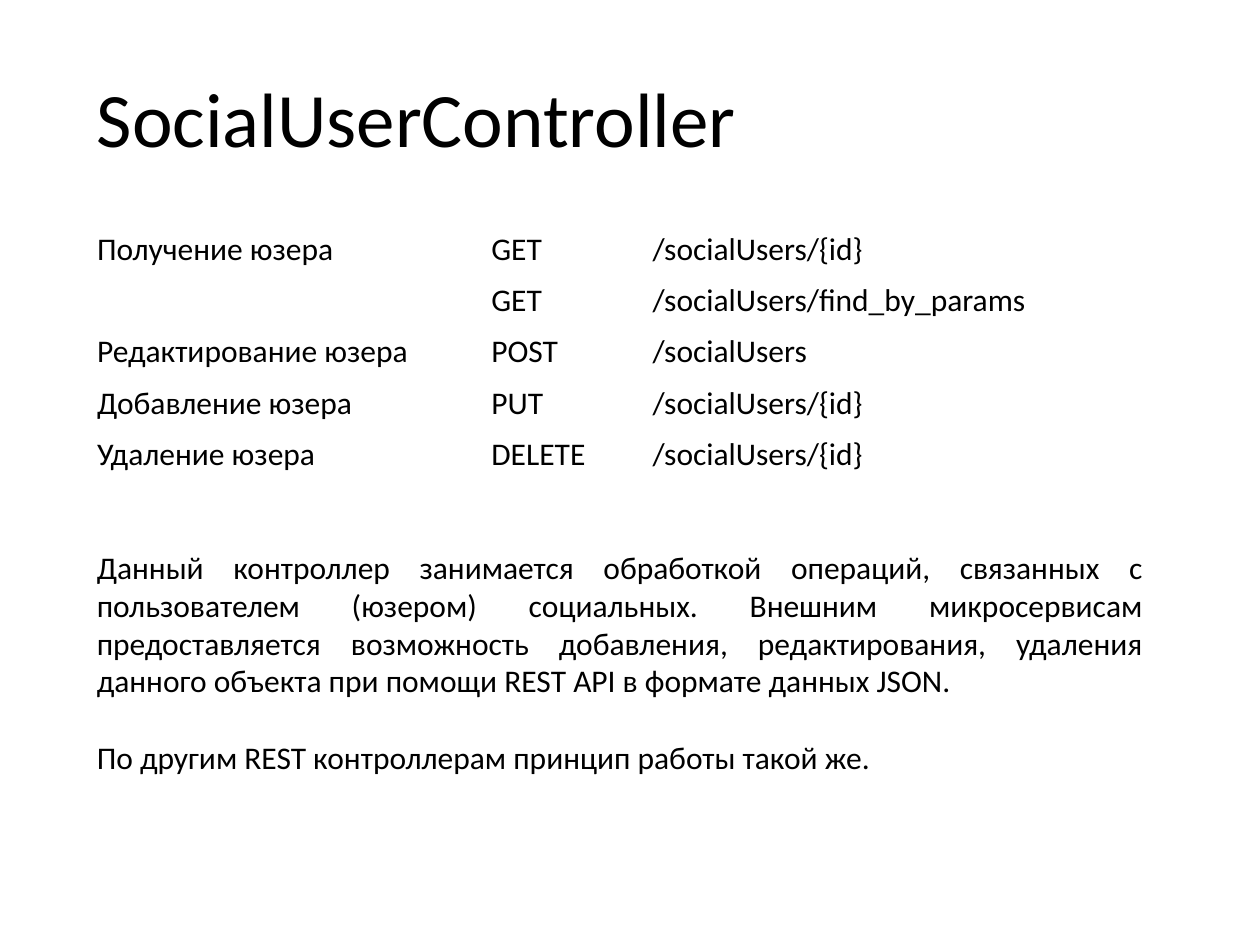
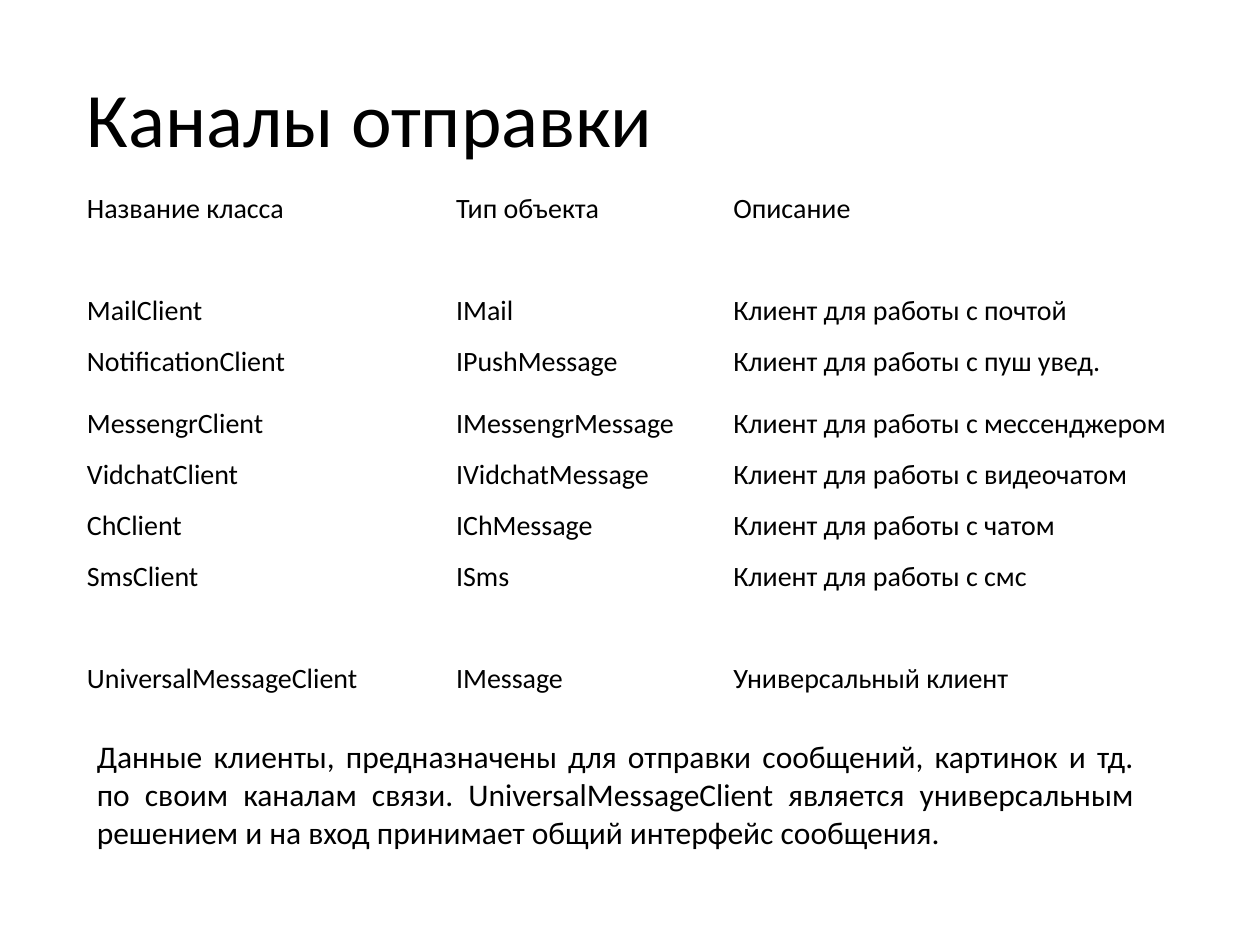
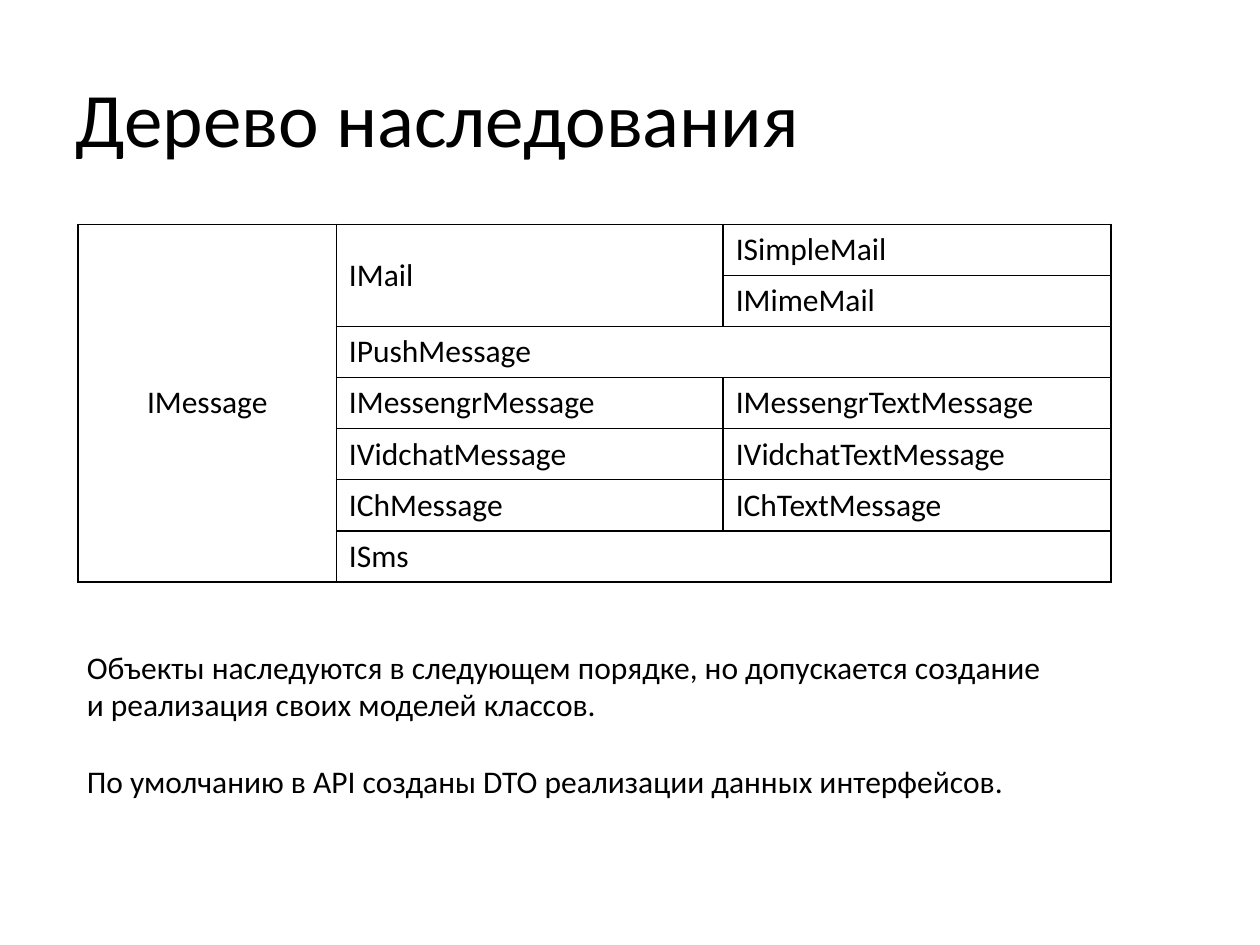
from lxml import etree
from pptx import Presentation
from pptx import util as u
from pptx.dml.color import RGBColor
from pptx.enum import text
from pptx.oxml.ns import qn

# Shared style
COLORS = {"ink": "000000"}
FONT = "Calibri"
TITLE, BODY, SMALL = 44, 18, 16
GAP = 22  # one body line, in points
MIDDLE = text.MSO_ANCHOR.MIDDLE
TOP = text.MSO_ANCHOR.TOP

# Endpoints of the user controller
ROUTES = [
    ["Получение юзера", "GET", "/socialUsers/{id}"],
    ["", "GET", "/socialUsers/find_by_params"],
    ["Редактирование юзера", "POST", "/socialUsers"],
    ["Добавление юзера", "PUT", "/socialUsers/{id}"],
    ["Удаление юзера", "DELETE", "/socialUsers/{id}"],
]

# Clients by channel
CLIENTS = [
    ["Название класса", "Тип объекта", "Описание"],
    ["", "", ""],
    ["MailClient", "IMail", "Клиент для работы с почтой"],
    ["NotificationClient", "IPushMessage", "Клиент для работы с пуш увед."],
    ["MessengrClient", "IMessengrMessage", "Клиент для работы с мессенджером"],
    ["VidchatClient", "IVidchatMessage", "Клиент для работы с видеочатом"],
    ["ChClient", "IChMessage", "Клиент для работы с чатом"],
    ["SmsClient", "ISms", "Клиент для работы с смс"],
    ["", "", ""],
    ["UniversalMessageClient", "IMessage", "Универсальный клиент"],
]

# Message interfaces, from parent to child
TREE = [
    ["IMessage", "IMail", "ISimpleMail"],
    ["", "", "IMimeMail"],
    ["", "IPushMessage", ""],
    ["", "IMessengrMessage", "IMessengrTextMessage"],
    ["", "IVidchatMessage", "IVidchatTextMessage"],
    ["", "IChMessage", "IChTextMessage"],
    ["", "ISms", ""],
]


def style(para, size, align=None):
    para.alignment = align
    for run in para.runs:
        run.font.name = FONT
        run.font.size = u.Pt(size)
        run.font.color.rgb = RGBColor.from_string(COLORS["ink"])


def add_text(slide, box, lines, size=BODY, align=None, anchor=TOP):
    frame = slide.shapes.add_textbox(*map(u.Inches, box)).text_frame
    frame.word_wrap = True
    frame.vertical_anchor = anchor
    frame.text = "\n".join(lines)
    for i, para in enumerate(frame.paragraphs):
        style(para, size, align)
        if i:
            para.space_before = u.Pt(GAP)


def add_page(deck, title, left):
    slide = deck.slides.add_slide(deck.slide_layouts[6])
    add_text(slide, (left, 0.3, 9.5 - left, 1.25), [title], TITLE, anchor=MIDDLE)
    return slide


def add_edges(cell):
    props = cell._tc.get_or_add_tcPr()
    for side in ("lnL", "lnR", "lnT", "lnB"):
        line = etree.SubElement(props, qn("a:" + side), w=str(u.Pt(1)))
        fill = etree.SubElement(line, qn("a:solidFill"))
        etree.SubElement(fill, qn("a:srgbClr"), val=COLORS["ink"])


def add_grid(slide, left, top, cols, high, rows, size=BODY,
             tall=None, merges=(), edges=False, anchor=TOP):
    """Share the height among rows; tall maps a row to its own height."""
    tall = tall or {}
    step = (high - sum(tall.values())) / (len(rows) - len(tall))
    box = map(u.Inches, (left, top, sum(cols), high))
    grid = slide.shapes.add_table(len(rows), len(cols), *box).table
    grid.first_row = grid.horz_banding = False
    for col, wide in zip(grid.columns, cols):
        col.width = u.Inches(wide)
    for r, row in enumerate(rows):
        grid.rows[r].height = u.Inches(tall.get(r, step))
        for c, words in enumerate(row):
            cell = grid.cell(r, c)
            if edges:
                add_edges(cell)
            cell.fill.background()
            cell.vertical_anchor = anchor
            if words:
                cell.text_frame.text = words
                style(cell.text_frame.paragraphs[0], size)
    for start, end in merges:
        grid.cell(*start).merge(grid.cell(*end))
    return grid


def add_routes(deck):
    slide = add_page(deck, "SocialUserController", 0.67)
    add_grid(slide, 0.67, 1.78, (3.13, 1.28, 4.17), 2.03, ROUTES,
             merges=[((0, 0), (1, 0))])
    add_text(slide, (0.67, 4.3, 8.5, 1.92), [
        "Данный контроллер занимается обработкой операций, связанных с "
        "пользователем (юзером) социальных. Внешним микросервисам "
        "предоставляется возможность добавления, редактирования, удаления "
        "данного объекта при помощи REST API в формате данных JSON.",
        "По другим REST контроллерам принцип работы такой же.",
    ], align=text.PP_ALIGN.JUSTIFY)


def add_clients(deck):
    slide = add_page(deck, "Каналы отправки", 0.59)
    add_grid(slide, 0.59, 1.47, (2.93, 2.2, 3.87), 4.14, CLIENTS, SMALL,
             tall={3: 0.49})
    add_text(slide, (0.67, 5.8, 8.43, 1.01), [
        "Данные клиенты, предназначены для отправки сообщений, картинок и тд. "
        "по своим каналам связи. UniversalMessageClient является "
        "универсальным решением и на вход принимает общий интерфейс сообщения.",
    ], align=text.PP_ALIGN.JUSTIFY)


def add_tree(deck):
    slide = add_page(deck, "Дерево наследования", 0.5)
    grid = add_grid(slide, 0.62, 1.78, (2.05, 3.07, 3.08), 2.84, TREE,
                    merges=[((0, 0), (6, 0)), ((0, 1), (1, 1)),
                            ((2, 1), (2, 2)), ((6, 1), (6, 2))],
                    edges=True, anchor=MIDDLE)
    root = grid.cell(0, 0).text_frame.paragraphs[0]
    root.alignment = text.PP_ALIGN.CENTER
    add_text(slide, (0.59, 5.09, 7.95, 1.31), [
        "Объекты наследуются в следующем порядке, но допускается создание "
        "и реализация своих моделей классов.",
        "По умолчанию в API созданы DTO реализации данных интерфейсов.",
    ])


def main():
    deck = Presentation()
    deck.slide_width, deck.slide_height = u.Inches(10), u.Inches(7.5)
    add_routes(deck)
    add_clients(deck)
    add_tree(deck)
    deck.save("out.pptx")


if __name__ == "__main__":
    main()
